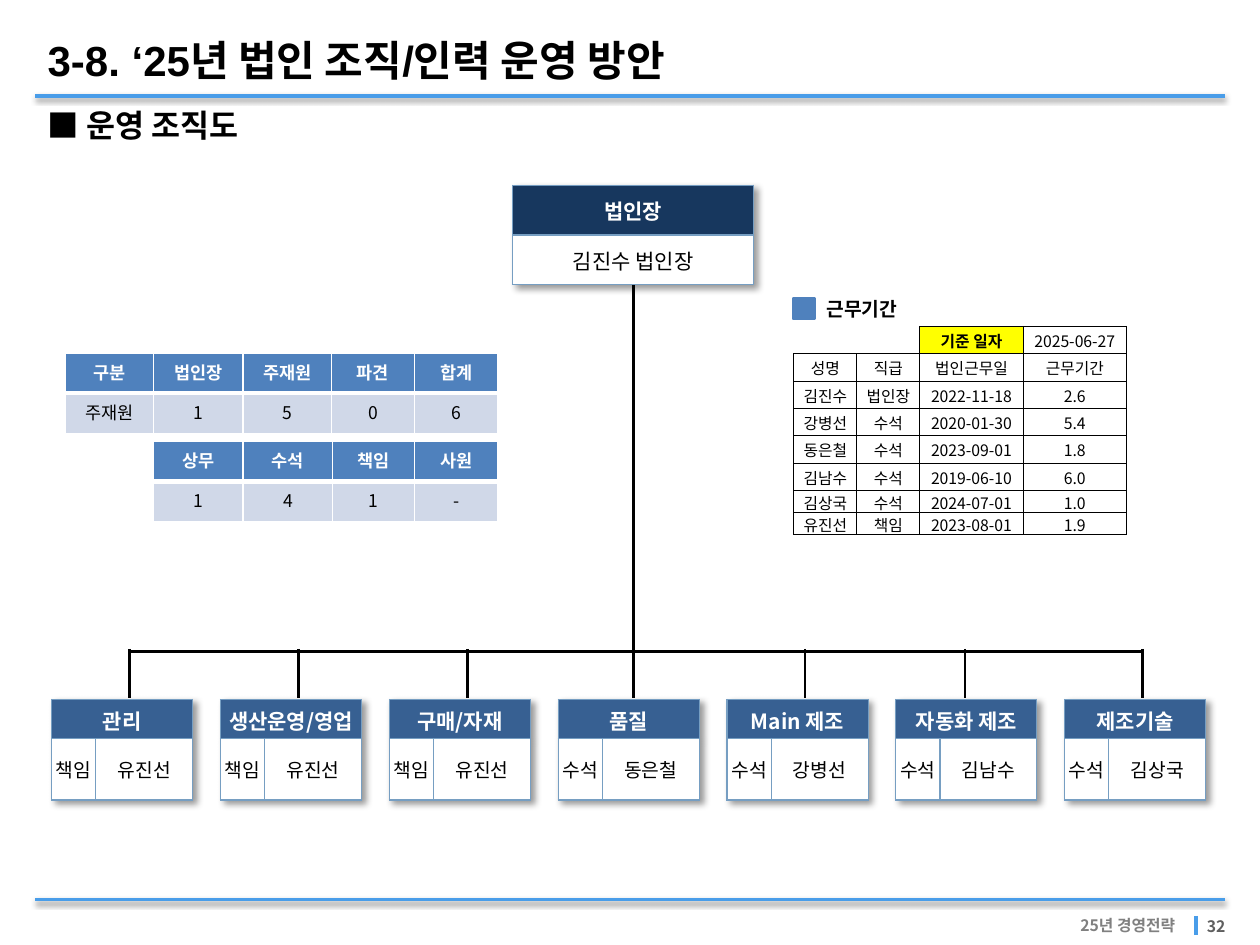
import dataclasses

import lxml.etree
import pptx
import pptx.dml.color
import pptx.enum.shapes
import pptx.enum.text
import pptx.oxml
import pptx.oxml.ns
import pptx.util

COLUMNS, ROWS = 100, 75
UNIT = pptx.util.Inches(10) // COLUMNS
ALIGN = pptx.enum.text.PP_ALIGN
ANCHOR = pptx.enum.text.MSO_ANCHOR
qn = pptx.oxml.ns.qn


@dataclasses.dataclass(frozen=True)
class Theme:
    """Colours, fonts and type sizes of the deck."""
    latin: str = "Arial"
    korean: str = "Noto Sans CJK KR"
    black: str = "000000"
    white: str = "FFFFFF"
    rule: str = "499DE9"
    navy: str = "17375E"
    steel: str = "376092"
    blue: str = "4F81BD"
    pale: str = "D0D8E8"
    card_edge: str = "769EC2"
    yellow: str = "FFFF00"
    grey: str = "808080"
    dark_grey: str = "5F5F5F"
    title: int = 24
    heading: int = 18
    name: int = 12
    label: int = 11
    body: int = 10
    small: int = 9


@dataclasses.dataclass(frozen=True)
class Box:
    """A rectangle in grid columns and rows."""
    left: float
    top: float
    width: float
    height: float

    def inner(self, column, row, width, height):
        """Return a box offset from the corner of this one."""
        return Box(self.left + column, self.top + row, width, height)

    def lengths(self):
        """Return left, top, width and height as slide lengths."""
        return [grid(value) for value in dataclasses.astuple(self)]


THEME = Theme()


def grid(count):
    """Turn a count of grid units into a slide length."""
    return pptx.util.Emu(round(count * UNIT))


def rgb(colour):
    """Turn a hexadecimal text into a colour."""
    return pptx.dml.color.RGBColor.from_string(colour)


def write(frame, text, size=THEME.body, colour=THEME.black, bold=False,
          font=THEME.korean, align=ALIGN.CENTER, spacing=None):
    """Write one formatted paragraph into a text frame."""
    para = frame.paragraphs[0]
    para.alignment = align
    para.line_spacing = spacing
    if not text:
        lxml.etree.SubElement(para._p, qn("a:endParaRPr"), sz=str(size * 100))
        return
    span = para.add_run()
    span.text = text
    span.font.size = pptx.util.Pt(size)
    span.font.bold = bold
    span.font.color.rgb = rgb(colour)
    span.font.name = font
    east = lxml.etree.SubElement(span.font._element, qn("a:ea"))
    east.set("typeface", THEME.korean)


def add_text(page, box, text, wrap=True, anchor=ANCHOR.MIDDLE, **style):
    """Add a text box."""
    frame = page.shapes.add_textbox(*box.lengths()).text_frame
    frame.word_wrap = wrap
    frame.vertical_anchor = anchor
    write(frame, text, **style)


def add_shadow(properties, blur, distance, direction, alpha):
    """Put an outer shadow at the start of table properties or the end of a shape's."""
    effects = lxml.etree.Element(qn("a:effectLst"))
    if alpha:
        shadow = lxml.etree.SubElement(
            effects, qn("a:outerShdw"), blurRad=str(pptx.util.Pt(blur)),
            dist=str(pptx.util.Pt(distance)), dir=str(direction * 60000),
            algn="tl", rotWithShape="0")
        black = lxml.etree.SubElement(shadow, qn("a:srgbClr"), val=THEME.black)
        lxml.etree.SubElement(black, qn("a:alpha"), val=str(alpha * 1000))
    if properties.tag == qn("a:tblPr"):
        properties.insert(0, effects)
    else:
        properties.append(effects)


def add_line(page, start, end, colour=THEME.black, width=1.5, alpha=0):
    """Add a straight line between two grid points."""
    line = page.shapes.add_connector(
        pptx.enum.shapes.MSO_CONNECTOR.STRAIGHT, *map(grid, (*start, *end)))
    line.line.color.rgb = rgb(colour)
    line.line.width = pptx.util.Pt(width)
    add_shadow(line._element.spPr, 3.1, 1.6, 90, alpha)


def style_cell(cell, text, fill=None, edges=(1, 1, 1, 1), edge=THEME.white,
               insets=(1, 0.5, 1, 0.5), anchor=ANCHOR.MIDDLE, **style):
    """Write a cell and set its borders, insets and fill."""
    (cell.margin_left, cell.margin_top,
     cell.margin_right, cell.margin_bottom) = map(grid, insets)
    cell.vertical_anchor = anchor
    properties = cell._tc.get_or_add_tcPr()
    for side, width in zip(("lnL", "lnR", "lnT", "lnB"), edges):
        line = lxml.etree.SubElement(
            properties, qn("a:" + side), w=str(pptx.util.Pt(width)))
        if width:
            paint = lxml.etree.SubElement(line, qn("a:solidFill"))
            lxml.etree.SubElement(paint, qn("a:srgbClr"), val=edge)
        else:
            lxml.etree.SubElement(line, qn("a:noFill"))
    if fill:
        cell.fill.solid()
        cell.fill.fore_color.rgb = rgb(fill)
    else:
        cell.fill.background()
    write(cell.text_frame, text, **style)


def add_grid(page, box, widths, heights, rows, style_of, shadow=False):
    """Add a table whose cell formats come from style_of(row, column)."""
    table = page.shapes.add_table(len(heights), len(widths), *box.lengths()).table
    table.first_row = table.horz_banding = False
    table._tbl.tblPr.find(qn("a:tableStyleId")).text = "{2D5ABB26-0587-4C30-8999-92F81FD0307C}"
    if shadow:
        add_shadow(table._tbl.tblPr, 4, 3, 45, 40)
    for column, width in zip(table.columns, widths):
        column.width = grid(width)
    for index, (height, texts) in enumerate(zip(heights, rows)):
        table.rows[index].height = grid(height)
        for place, text in enumerate(texts):
            style_cell(table.cell(index, place), text, **style_of(index, place))
    return table


def add_frame(page, box):
    """Draw the title, the heading, both rules and the footer."""
    for row in (7.6, 71.4):
        add_line(page, (box.left + box.width, row), (box.left, row), THEME.rule, 2, alpha=38)
    heads = (("3-8. ‘25년 법인 조직/인력 운영 방안", 2.8, THEME.title),
             ("■ 운영 조직도", 7.9, THEME.heading))
    for text, row, size in heads:
        add_text(page, box.inner(0, row, 65.4, 4.5), text, size=size, bold=True,
                 font=THEME.latin, align=ALIGN.LEFT, spacing=0.85)
    add_text(page, box.inner(81.5, 72.2, 10.4, 2.5), "25년 경영전략", wrap=False,
             size=THEME.small, colour=THEME.grey, bold=True)
    add_text(page, box.inner(92, 72.7, 4.4, 2), "32", size=THEME.small,
             colour=THEME.dark_grey, bold=True, align=ALIGN.LEFT, spacing=0.6)
    add_line(page, (94.9, 72.7), (94.9, 74.2), THEME.rule, 2.25)


def add_head(page, box):
    """Draw the card of the head of the company."""
    styles = (dict(fill=THEME.navy, colour=THEME.white, bold=True), dict(fill=THEME.white))
    add_grid(page, box, [box.width], [box.height / 2] * 2, [["법인장"], ["김진수 법인장"]],
             lambda row, column: dict(styles[row], size=THEME.name, font=THEME.latin,
                                      edges=(0.75,) * 4, edge=THEME.card_edge), shadow=True)


def add_headcount(page, box, widths, rows):
    """Draw a headcount table with a coloured header row."""
    styles = (dict(fill=THEME.blue, colour=THEME.white, bold=True, edges=(1, 1, 1, 3)),
              dict(fill=THEME.pale, edges=(1, 1, 3, 1)))
    add_grid(page, box, widths, [box.height / 2] * 2, rows,
             lambda row, column: dict(styles[row], anchor=ANCHOR.TOP))


def add_tenure(page, box, people):
    """Draw the tenure label and its table."""
    marker = page.shapes.add_shape(pptx.enum.shapes.MSO_SHAPE.RECTANGLE,
                                   *box.inner(0, 0.6, 1.6, 1.6).lengths())
    marker.shadow.inherit = False
    marker.fill.solid()
    marker.fill.fore_color.rgb = marker.line.color.rgb = rgb(THEME.blue)
    marker.line.width = pptx.util.Pt(2)
    add_text(page, box.inner(1.6, 0, 8.2, 2.9), "근무기간", wrap=False, anchor=ANCHOR.TOP,
             size=THEME.label, bold=True, font=THEME.latin, align=ALIGN.LEFT)
    special = {(0, 0): dict(edges=(0, 0, 0, 0.5)), (0, 1): dict(edges=(0, 0.5, 0, 0.5)),
               (0, 2): dict(fill=THEME.yellow, bold=True)}
    base = dict(size=THEME.small, edges=(0.5,) * 4, edge=THEME.black, insets=(0.1, 0.1, 0.1, 0))
    rows = [("", "", "기준 일자", "2025-06-27"), ("성명", "직급", "법인근무일", "근무기간"), *people]
    add_grid(page, box.inner(0, 2.8, box.width, box.height - 2.8), [5, 5, 8.2, 8.2],
             [2.17] * 6 + [1.75] * 2, rows,
             lambda row, column: {**base, **special.get((row, column), {})})


def add_team(page, box, team, grade, leader):
    """Draw one team card with its leader."""
    styles = (dict(fill=THEME.steel, colour=THEME.white, bold=True, size=THEME.name,
                   insets=(0.2, 0.4, 0.2, 0.1)),
              dict(fill=THEME.white, size=THEME.label, insets=(0.2,) * 4))
    table = add_grid(page, box, [3.5, box.width - 3.5], [3.1, box.height - 3.1],
                     [(team, ""), (grade, leader)],
                     lambda row, column: dict(styles[row], edges=(0.75,) * 4,
                                              edge=THEME.card_edge), shadow=True)
    table.cell(0, 0).merge(table.cell(0, 1))


def add_teams(page, box, teams, trunk_top):
    """Draw the row of team cards under a bus line and its trunk."""
    pitch, width, bus = 13.4, 11.2, box.top + 2
    drops = [drop for *_, drop in teams]
    for index, (team, grade, leader, drop) in enumerate(teams):
        add_team(page, box.inner(index * pitch, 5.8, width, 8), team, grade, leader)
        add_line(page, (drop, bus - 0.2), (drop, bus + 3.7))
    add_line(page, (drops[0], bus), (drops[-1], bus))
    trunk = drops[len(drops) // 2]
    add_line(page, (trunk, trunk_top), (trunk, bus))


def main():
    """Build the slide and save it."""
    deck = pptx.Presentation()
    deck.slide_width, deck.slide_height = grid(COLUMNS), grid(ROWS)
    page = deck.slides.add_slide(deck.slide_layouts[6])
    add_frame(page, Box(2.8, 0, 94.4, ROWS))
    add_teams(page, Box(4.1, 49.7, 91.6, 13.8), [
        ("관리", "책임", "유진선", 10.3), ("생산운영/영업", "책임", "유진선", 23.7),
        ("구매/자재", "책임", "유진선", 37.1), ("품질", "수석", "동은철", 50.3),
        ("Main 제조", "수석", "강병선", 63.9), ("자동화 제조", "수석", "김남수", 76.6),
        ("제조기술", "수석", "김상국", 90.7)], 22.5)
    add_head(page, Box(40.7, 14.7, 19.1, 7.9))
    add_headcount(page, Box(5.2, 28, 34.2, 6.4), [7, 7.1, 7, 6.6, 6.6],
                  [("구분", "법인장", "주재원", "파견", "합계"), ("주재원", "1", "5", "0", "6")])
    add_headcount(page, Box(12.2, 35, 27.2, 6.4), [7.1, 7.1, 6.5, 6.6],
                  [("상무", "수석", "책임", "사원"), ("1", "4", "1", "-")])
    add_tenure(page, Box(63, 23.1, 26.4, 19.3), [
        ("김진수", "법인장", "2022-11-18", "2.6"), ("강병선", "수석", "2020-01-30", "5.4"),
        ("동은철", "수석", "2023-09-01", "1.8"), ("김남수", "수석", "2019-06-10", "6.0"),
        ("김상국", "수석", "2024-07-01", "1.0"), ("유진선", "책임", "2023-08-01", "1.9")])
    deck.save("out.pptx")


if __name__ == "__main__":
    main()
